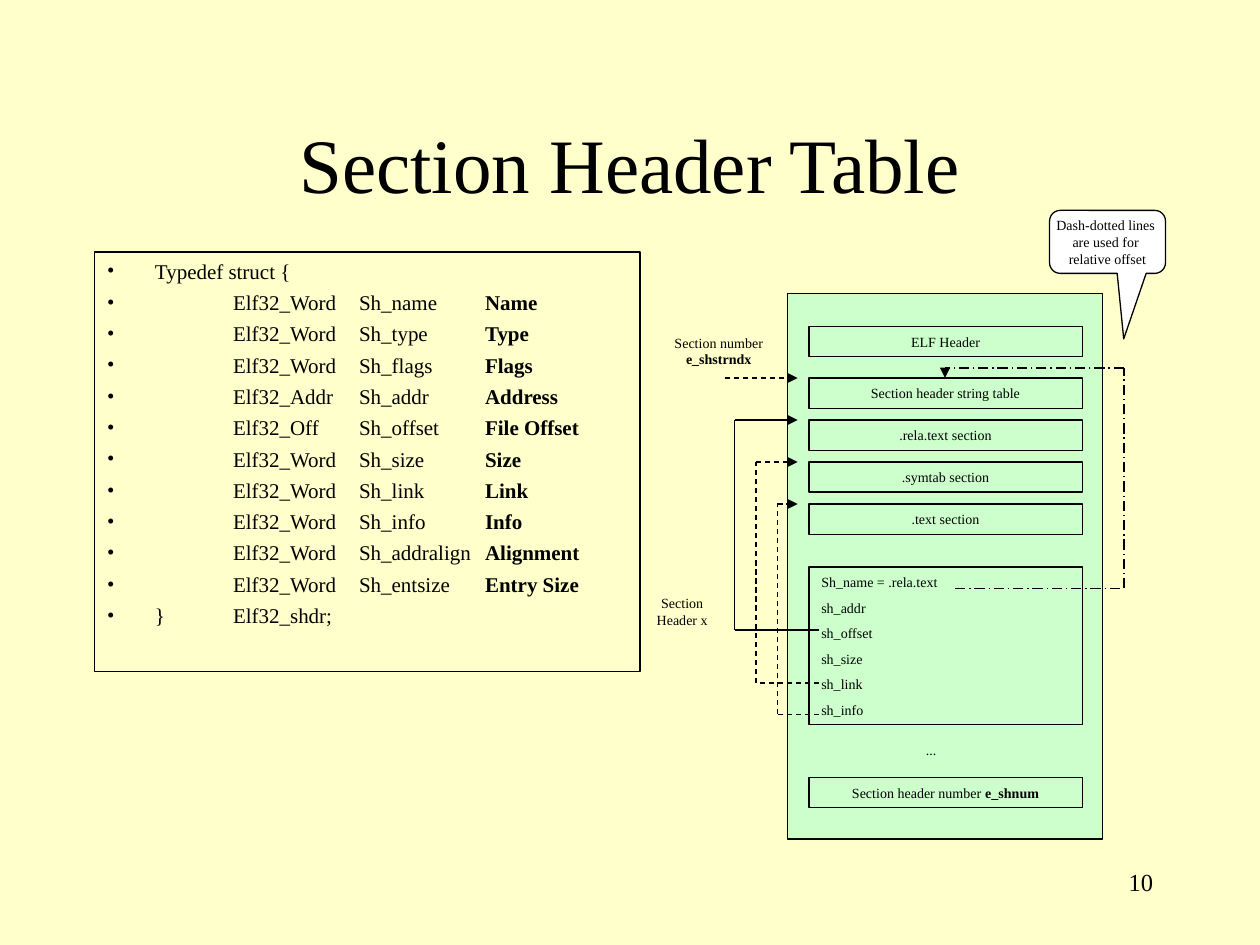
from lxml.etree import SubElement
from pptx import Presentation
from pptx.dml.color import RGBColor
from pptx.enum.dml import MSO_LINE
from pptx.enum.shapes import MSO_CONNECTOR, MSO_SHAPE
from pptx.enum.text import MSO_ANCHOR, MSO_AUTO_SIZE, PP_ALIGN
from pptx.oxml.ns import qn
from pptx.util import Inches, Pt

FONT = "Times New Roman"
COLORS = {"back": "FFFFCC", "ink": "000000", "file": "CCFFCC", "note": "FFFFFF"}
FIELDS = [
    ("Word", "name", "Name"),
    ("Word", "type", "Type"),
    ("Word", "flags", "Flags"),
    ("Addr", "addr", "Address"),
    ("Off", "offset", "File Offset"),
    ("Word", "size", "Size"),
    ("Word", "link", "Link"),
    ("Word", "info", "Info"),
    ("Word", "addralign", "Alignment"),
    ("Word", "entsize", "Entry Size"),
]
PARTS = ["Section header string table", ".rela.text section", ".symtab section", ".text section"]
GAP = 1 / 3
PART_TOP = 3
BAR_LEFT, BAR_WIDTH, BAR_HIGH = 6.42, 2.17, 0.24
TIP = 6.33


def tint(name):
    return RGBColor.from_string(COLORS[name])


def write(frame, rows, size=8, align=PP_ALIGN.CENTER, anchor=MSO_ANCHOR.MIDDLE,
          before=5, wrap=True, fit=MSO_AUTO_SIZE.NONE):
    """Each row is a list of texts, plain and bold in turn."""
    frame.word_wrap = wrap
    frame.auto_size = fit
    frame.vertical_anchor = anchor
    for i, row in enumerate(rows):
        para = frame.paragraphs[0] if i == 0 else frame.add_paragraph()
        para.alignment = align
        para.space_before = Pt(before)
        for j, text in enumerate(row):
            run = para.add_run()
            run.text = text
            font = run.font
            font.name, font.size, font.bold = FONT, Pt(size), j % 2 == 1
            font.color.rgb = tint("ink")


def place(shape, left, top, width, height):
    shape.left, shape.top = Inches(left), Inches(top)
    shape.width, shape.height = Inches(width), Inches(height)


def edge(line):
    line.color.rgb = tint("ink")
    line.width = Pt(0.75)


def box(slide, left, top, width, height, fill=None, kind=MSO_SHAPE.RECTANGLE):
    shape = slide.shapes.add_shape(kind, Inches(left), Inches(top), Inches(width), Inches(height))
    shape.shadow.inherit = False
    if fill:
        shape.fill.solid()
        shape.fill.fore_color.rgb = tint(fill)
    else:
        shape.fill.background()
    edge(shape.line)
    return shape


def bar(slide, top, *row):
    shape = box(slide, BAR_LEFT, top, BAR_WIDTH, BAR_HIGH)
    write(shape.text_frame, [row], fit=MSO_AUTO_SIZE.SHAPE_TO_FIT_TEXT)


def label(slide, left, top, width, height, row, **form):
    shape = slide.shapes.add_textbox(Inches(left), Inches(top), Inches(width), Inches(height))
    write(shape.text_frame, [row], **form)


def route(slide, points, dash=None, arrow=True):
    for start, end in zip(points, points[1:]):
        link = slide.shapes.add_connector(MSO_CONNECTOR.STRAIGHT, *map(Inches, start + end))
        edge(link.line)
        if dash:
            link.line.dash_style = dash
        if arrow and end == points[-1]:
            SubElement(link.line._get_or_add_ln(), qn("a:tailEnd"), type="triangle")
        SubElement(link._element.spPr, qn("a:effectLst"))


def bullet(para):
    props = para._p.get_or_add_pPr()
    props.set("marL", str(Inches(0.38)))
    props.set("indent", str(Inches(-0.38)))
    SubElement(props, qn("a:buFont"), typeface=FONT)
    SubElement(props, qn("a:buChar"), char="•")
    tabs = SubElement(props, qn("a:tabLst"))
    for stop in range(1, 9):
        SubElement(tabs, qn("a:tab"), pos=str(Inches(stop)), algn="l")


def struct(body):
    place(body, 0.75, 2, 4.33, 3.33)
    edge(body.line)
    rows = [["Typedef struct {"]]
    rows += [[f"\tElf32_{kind}\tSh_{name}\t", note] for kind, name, note in FIELDS]
    rows.append(["}\tElf32_shdr;"])
    write(body.text_frame, rows, size=12, align=PP_ALIGN.LEFT, anchor=MSO_ANCHOR.TOP, before=3.5)
    for para in body.text_frame.paragraphs:
        bullet(para)


def layout(slide):
    box(slide, 6.25, 2.33, 2.5, 4.33, "file")
    bar(slide, 2.59, "ELF Header")
    for i, part in enumerate(PARTS):
        bar(slide, PART_TOP + i * GAP, part)
    entry = box(slide, BAR_LEFT, 4.5, BAR_WIDTH, 1.25)
    names = ["Sh_name = .rela.text", "sh_addr", "sh_offset", "sh_size", "sh_link", "sh_info"]
    write(entry.text_frame, [[name] for name in names], align=PP_ALIGN.LEFT)
    label(slide, 7.25, 5.83, 0.28, 0.24, ["..."], wrap=False)
    bar(slide, 6.17, "Section header number ", "e_shnum")


def links(slide):
    route(slide, [(5.75, PART_TOP), (TIP, PART_TOP)], MSO_LINE.DASH)
    turns = [(5.83, 5, None), (6, 5.42, MSO_LINE.DASH), (6.17, 5.67, MSO_LINE.DASH)]
    for i, (left, low, dash) in enumerate(turns, 1):
        top = PART_TOP + i * GAP
        route(slide, [(6.5, low), (left, low), (left, top), (TIP, top)], dash)
    route(slide, [(7.58, 4.67), (8.92, 4.67), (8.92, 2.92), (7.5, 2.92)],
          MSO_LINE.LONG_DASH_DOT, arrow=False)
    route(slide, [(7.5, 2.92), (7.5, PART_TOP)])


def callout(slide):
    note = box(slide, 8.33, 1.67, 0.92, 0.5, "note", MSO_SHAPE.ROUNDED_RECTANGULAR_CALLOUT)
    for i, value in enumerate((0.14, 1.54, 0.17)):
        note.adjustments[i] = value
    rows = [["Dash-dotted lines "], ["are used for "], ["relative offset"]]
    write(note.text_frame, rows, before=0, wrap=False)


def main():
    deck = Presentation()
    deck.slide_width, deck.slide_height = Inches(10), Inches(7.5)
    slide = deck.slides.add_slide(deck.slide_layouts[1])
    slide.background.fill.solid()
    slide.background.fill.fore_color.rgb = tint("back")
    title, body = slide.placeholders
    place(title, 0.75, 0.67, 8.5, 1.25)
    write(title.text_frame, [["Section Header Table"]], size=44, before=0)
    struct(body)
    layout(slide)
    label(slide, 5.08, 2.6, 1.25, 0.37, ["Section number ", "e_shstrndx"])
    label(slide, 5, 4.67, 0.83, 0.37, ["Section Header x"])
    links(slide)
    callout(slide)
    label(slide, 7.17, 6.83, 2.08, 0.5, ["10"], size=14, align=PP_ALIGN.RIGHT,
          anchor=MSO_ANCHOR.TOP, before=0)
    deck.save("out.pptx")


if __name__ == "__main__":
    main()
